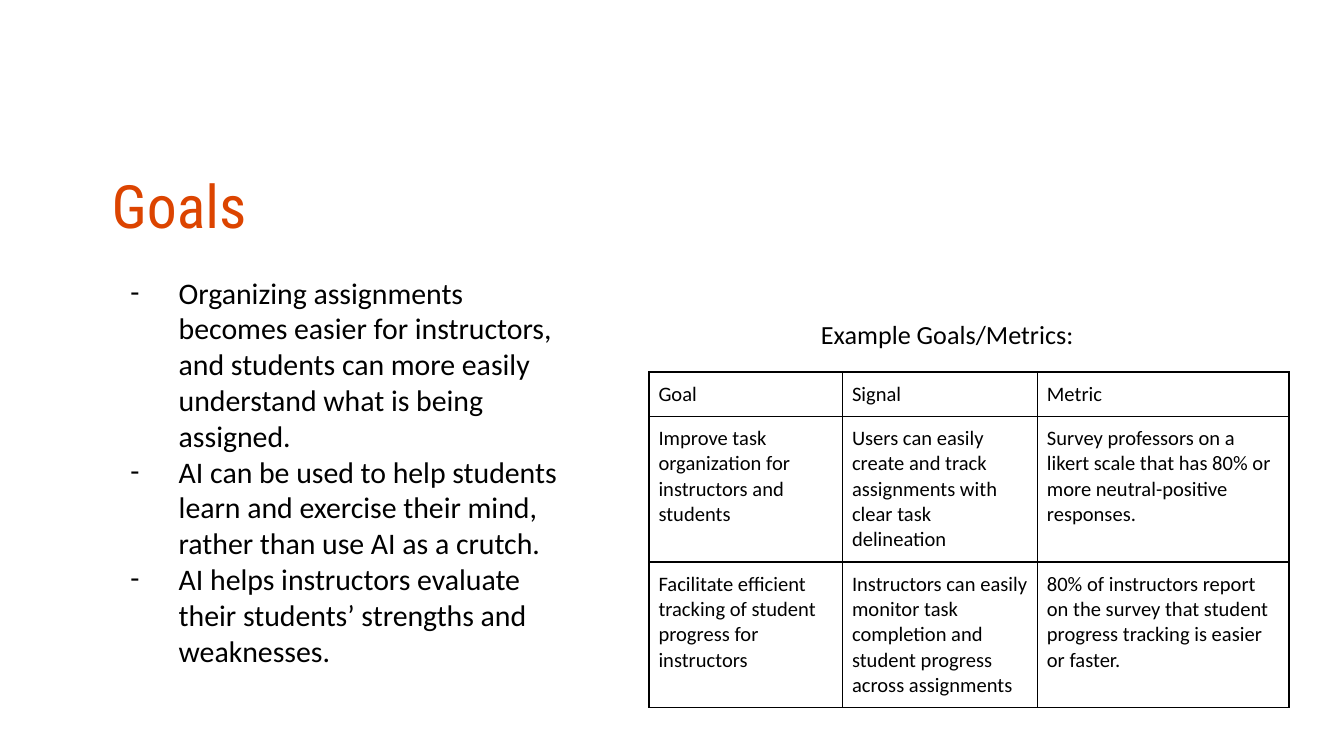
"""Build the Goals slide with its list and metrics table."""
from dataclasses import dataclass

from lxml import etree
from pptx import Presentation
from pptx.dml.color import RGBColor
from pptx.enum import text
from pptx.oxml import ns
from pptx.util import Inches, Pt


@dataclass(frozen=True)
class Theme:
    """Colours, fonts and type sizes."""
    accent: str = "DC4400"
    ink: str = "000000"
    heading: str = "Roboto Condensed"
    font: str = "Calibri"
    title: int = 32
    body: int = 16
    caption: int = 14
    cell: int = 11
    border: int = 1


@dataclass(frozen=True)
class Box:
    """A position and size in inches."""
    left: float
    top: float
    width: float
    height: float

    def emu(self) -> tuple:
        """Return the four lengths."""
        return tuple(Inches(v) for v in (self.left, self.top, self.width, self.height))


@dataclass(frozen=True)
class Row:
    """One table row with its height in inches."""
    height: float
    goal: str
    signal: str
    metric: str


THEME = Theme()
COLUMNS = (1.44, 1.45, 1.87)
GOALS = (
    "Organizing assignments becomes easier for instructors, and students can more easily "
    "understand what is being assigned.",
    "AI can be used to help students learn and exercise their mind, rather than use AI as a crutch.",
    "AI helps instructors evaluate their students’ strengths and weaknesses.",
)
ROWS = (
    Row(0.32, "Goal", "Signal", "Metric"),
    Row(1.03, "Improve task organization for instructors and students",
        "Users can easily create and track assignments with clear task delineation",
        "Survey professors on a likert scale that has 80% or more neutral-positive responses."),
    Row(1.04, "Facilitate efficient tracking of student progress for instructors",
        "Instructors can easily monitor task completion and student progress across assignments",
        "80% of instructors report on the survey that student progress tracking is easier or faster."),
)


def write(p, words: str, *, size: int, font: str = THEME.font, color: str = THEME.ink) -> None:
    """Write one left-aligned formatted run into a paragraph."""
    p.alignment = text.PP_ALIGN.LEFT
    r = p.add_run()
    r.text = words
    r.font.size = Pt(size)
    r.font.name = font
    r.font.color.rgb = RGBColor.from_string(color)


def frame(tf, *, x: float, y: float, anchor=text.MSO_ANCHOR.TOP) -> None:
    """Set the insets, wrapping and anchor of a text frame."""
    tf.margin_left = tf.margin_right = Inches(x)
    tf.margin_top = tf.margin_bottom = Inches(y)
    tf.word_wrap = True
    tf.auto_size = text.MSO_AUTO_SIZE.NONE
    tf.vertical_anchor = anchor


def place(sp, box: Box) -> None:
    """Move and size a shape."""
    sp.left, sp.top, sp.width, sp.height = box.emu()


def dash(p) -> None:
    """Give a paragraph a hanging dash bullet."""
    pPr = p._p.get_or_add_pPr()
    pPr.set("marL", str(Inches(0.5)))
    pPr.set("indent", str(Inches(-0.36)))
    clr = etree.SubElement(pPr, ns.qn("a:buClr"))
    etree.SubElement(clr, ns.qn("a:srgbClr"), val=THEME.ink)
    etree.SubElement(pPr, ns.qn("a:buFont"), typeface=THEME.font)
    etree.SubElement(pPr, ns.qn("a:buChar"), char="-")


def outline(cell) -> None:
    """Draw a solid border on all four sides of a cell."""
    tcPr = cell._tc.get_or_add_tcPr()
    for side in ("lnL", "lnR", "lnT", "lnB"):
        ln = etree.SubElement(tcPr, ns.qn(f"a:{side}"), w=str(Pt(THEME.border)))
        fill = etree.SubElement(ln, ns.qn("a:solidFill"))
        etree.SubElement(fill, ns.qn("a:srgbClr"), val=THEME.ink)


def add_title(slide, words: str, box: Box) -> None:
    """Fill the title placeholder."""
    sp = slide.shapes.title
    place(sp, box)
    frame(sp.text_frame, x=0.08, y=0.04, anchor=text.MSO_ANCHOR.MIDDLE)
    write(sp.text_frame.paragraphs[0], words,
          size=THEME.title, font=THEME.heading, color=THEME.accent)


def add_list(slide, items: tuple[str, ...], box: Box) -> None:
    """Fill the body placeholder with dashed items."""
    sp = slide.placeholders[1]
    place(sp, box)
    tf = sp.text_frame
    frame(tf, x=0.08, y=0.04)
    for i, item in enumerate(items):
        p = tf.add_paragraph() if i else tf.paragraphs[0]
        p.line_spacing = 1.0
        p.space_before = Pt(0 if i else 5)
        write(p, item, size=THEME.body)
        dash(p)


def add_caption(slide, words: str, box: Box) -> None:
    """Add the caption above the table."""
    tf = slide.shapes.add_textbox(*box.emu()).text_frame
    frame(tf, x=0.1, y=0.1)
    write(tf.paragraphs[0], words, size=THEME.caption)


def add_metrics(slide, rows: tuple[Row, ...], left: float, top: float) -> None:
    """Add the bordered table of goals, signals and metrics."""
    box = Box(left, top, sum(COLUMNS), sum(row.height for row in rows))
    table = slide.shapes.add_table(len(rows), len(COLUMNS), *box.emu()).table
    table.first_row = table.horz_banding = False
    for column, width in zip(table.columns, COLUMNS):
        column.width = Inches(width)
    for line, row in zip(table.rows, rows):
        line.height = Inches(row.height)
        for cell, words in zip(line.cells, (row.goal, row.signal, row.metric)):
            cell.margin_left = cell.margin_right = Inches(0.07)
            cell.margin_top = cell.margin_bottom = Inches(0.07)
            outline(cell)
            cell.fill.background()
            write(cell.text_frame.paragraphs[0], words, size=THEME.cell)


def main() -> None:
    """Build and save the slide."""
    prs = Presentation()
    prs.slide_width = Inches(10)
    prs.slide_height = prs.slide_width * 9 // 16
    slide = prs.slides.add_slide(prs.slide_layouts[1])
    add_title(slide, "Goals", Box(0.75, 1.03, 8.5, 0.98))
    add_list(slide, GOALS, Box(0.75, 2, 3.61, 3.02))
    add_metrics(slide, ROWS, 4.83, 2.77)
    add_caption(slide, "Example Goals/Metrics:", Box(6.01, 2.27, 2.41, 0.42))
    prs.save("out.pptx")


if __name__ == "__main__":
    main()
